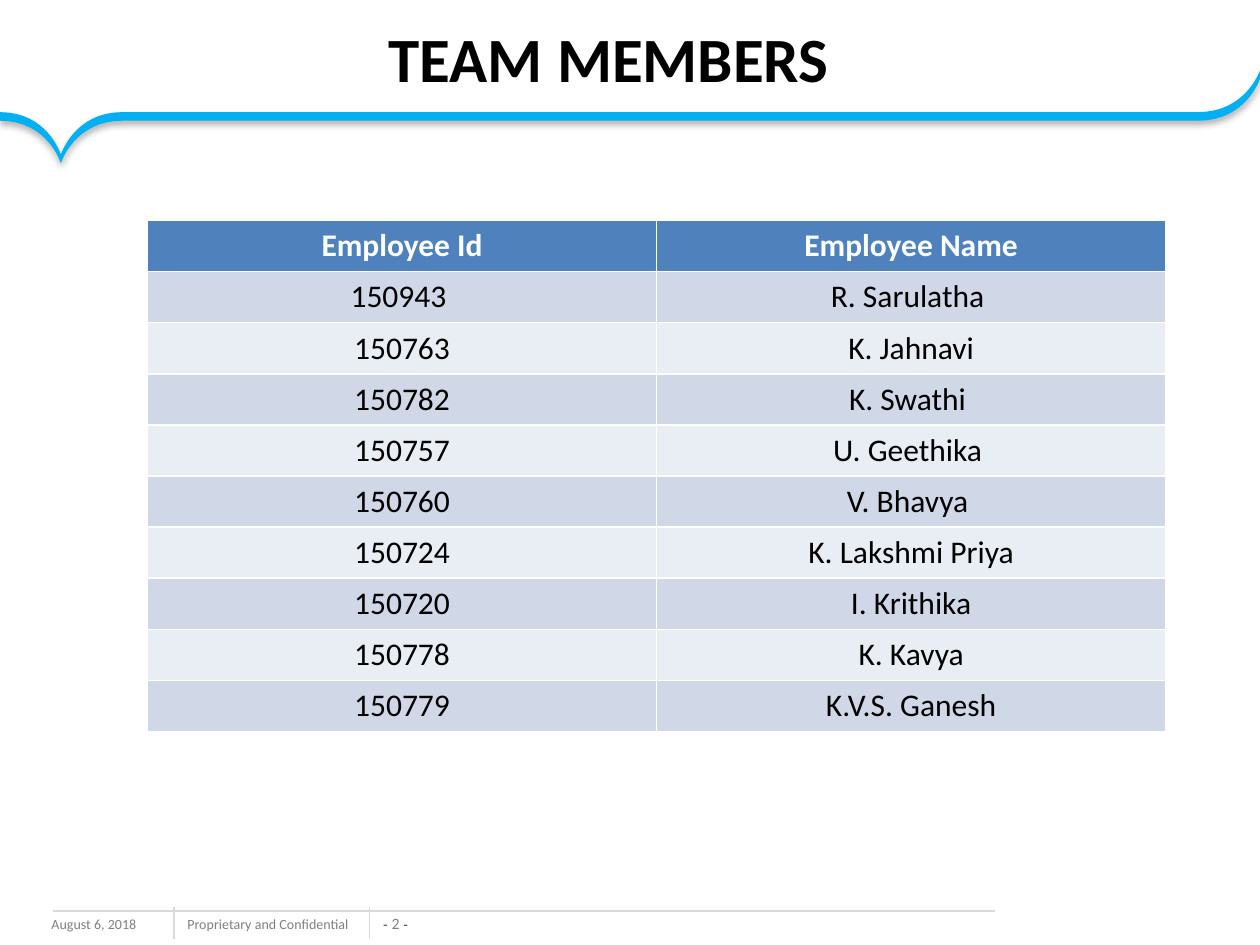
from lxml.etree import SubElement
from pptx import Presentation
from pptx.dml.color import RGBColor
from pptx.enum.shapes import MSO_CONNECTOR
from pptx.enum.text import MSO_ANCHOR, PP_ALIGN
from pptx.oxml.ns import qn
from pptx.util import Pt

BLACK = RGBColor(0x00, 0x00, 0x00)
WHITE = RGBColor(0xFF, 0xFF, 0xFF)
SKY = RGBColor(0x00, 0xB0, 0xF0)
HEADER_BLUE = RGBColor(0x4F, 0x81, 0xBD)
BANDS = [RGBColor(0xD0, 0xD8, 0xE8), RGBColor(0xE9, 0xED, 0xF4)]
GRAY = RGBColor(0x80, 0x80, 0x80)
RULE_GRAY = RGBColor(0xD9, 0xD9, 0xD9)
NAVY = RGBColor(0x1F, 0x49, 0x7D)

MEMBERS = [
    ("Employee Id", "Employee Name"),
    ("150943 ", "R. Sarulatha "),
    ("150763", "K. Jahnavi"),
    ("150782", "K. Swathi "),
    ("150757", "U. Geethika "),
    ("150760", "V. Bhavya "),
    ("150724", "K. Lakshmi Priya"),
    ("150720", "I. Krithika"),
    ("150778", "K. Kavya"),
    ("150779", "K.V.S. Ganesh"),
]


def curve(start, control, end, steps=16):
    """Points of a cubic curve whose second control point is given as a pair with the first."""
    first, second = control
    points = []
    for step in range(steps + 1):
        t = step / steps
        weights = ((1 - t) ** 3, 3 * t * (1 - t) ** 2, 3 * t * t * (1 - t), t ** 3)
        points.append(tuple(
            sum(w * p[axis] for w, p in zip(weights, (start, first, second, end)))
            for axis in (0, 1)))
    return points


def style_font(font, size, color, name="Calibri", bold=False):
    font.name, font.size, font.bold = name, Pt(size), bold
    font.color.rgb = color


prs = Presentation()
prs.slide_width, prs.slide_height = Pt(720), Pt(540)
slide = prs.slides.add_slide(prs.slide_layouts[5])
shapes = slide.shapes

# Footer
for text, left, width in [("August 6, 2018", 22.3, 96),
                          ("Proprietary and Confidential", 100, 113)]:
    footer = shapes.add_textbox(Pt(left), Pt(519.8), Pt(width), Pt(18))
    footer.text_frame.word_wrap = False
    paragraph = footer.text_frame.paragraphs[0]
    paragraph.text = text
    style_font(paragraph.font, 8, GRAY)

page_number = shapes.add_textbox(Pt(216.7), Pt(522), Pt(18.7), Pt(10.8))
frame = page_number.text_frame
frame.margin_left = frame.margin_top = frame.margin_right = frame.margin_bottom = 0
frame.vertical_anchor = MSO_ANCHOR.BOTTOM
frame.word_wrap = False
frame.paragraphs[0].alignment = PP_ALIGN.CENTER
for text, size, color, name in [("- ", 8, NAVY, "Arial"),
                                ("2 ", 9, GRAY, "Calibri"),
                                ("-", 8, NAVY, "Arial")]:
    run = frame.paragraphs[0].add_run()
    run.text = text
    style_font(run.font, size, color, name)

for x1, y1, x2, y2 in [(99.4, 518.4, 99.4, 536.4),
                       (211, 518.4, 211, 536.4),
                       (568.8, 520.6, 30.2, 520.6)]:
    rule = shapes.add_connector(MSO_CONNECTOR.STRAIGHT, Pt(x1), Pt(y1), Pt(x2), Pt(y2))
    rule.line.color.rgb = RULE_GRAY
    rule.line.width = Pt(0.75)
    SubElement(rule.element.spPr, qn("a:effectLst"))

# Header ribbon: one edge, then the same edge lower down in reverse
dip = (34.8, 88.4)
corner = (720, 40.3)
upper_edge = (curve((0, 64.1), ((27.4, 64.1), dip), dip)
              + curve(dip, (dip, (42.5, 64.1)), (69.8, 64.1))
              + curve((684.7, 64.1), ((712.1, 64.1), corner), corner))
lower_edge = [(x, y + 4.9) for x, y in reversed(upper_edge)]
outline = [(Pt(x), Pt(y)) for x, y in upper_edge + lower_edge]
builder = shapes.build_freeform(*outline[0])
builder.add_line_segments(outline[1:], close=True)
ribbon = builder.convert_to_shape()
ribbon.fill.solid()
ribbon.fill.fore_color.rgb = SKY
ribbon.line.fill.background()
ribbon.shadow.inherit = False
effects = ribbon.element.spPr.find(qn("a:effectLst"))
shadow = SubElement(effects, qn("a:outerShdw"), blurRad=str(Pt(4)), dist=str(Pt(2)),
                    dir="5400000", algn="t", rotWithShape="0")
shadow_color = SubElement(shadow, qn("a:srgbClr"), val=str(BLACK))
SubElement(shadow_color, qn("a:alpha"), val="31000")

# Title
title = shapes.title
title.left, title.top, title.width, title.height = Pt(23.8), Pt(1.4), Pt(648), Pt(62.6)
title.text_frame.vertical_anchor = MSO_ANCHOR.MIDDLE
heading = title.text_frame.paragraphs[0]
heading.text = "TEAM MEMBERS"
heading.alignment = PP_ALIGN.CENTER
style_font(heading.font, 36, BLACK, bold=True)

# Team table
team = shapes.add_table(len(MEMBERS), 2, Pt(84.3), Pt(126), Pt(581.8), Pt(292)).table
for row, member in enumerate(MEMBERS):
    is_header = row == 0
    for column, text in enumerate(member):
        cell = team.cell(row, column)
        cell.fill.solid()
        cell.fill.fore_color.rgb = HEADER_BLUE if is_header else BANDS[(row - 1) % 2]
        paragraph = cell.text_frame.paragraphs[0]
        paragraph.text = text
        paragraph.alignment = PP_ALIGN.CENTER
        style_font(paragraph.font, 18, WHITE if is_header else BLACK, bold=is_header)

prs.save("out.pptx")
